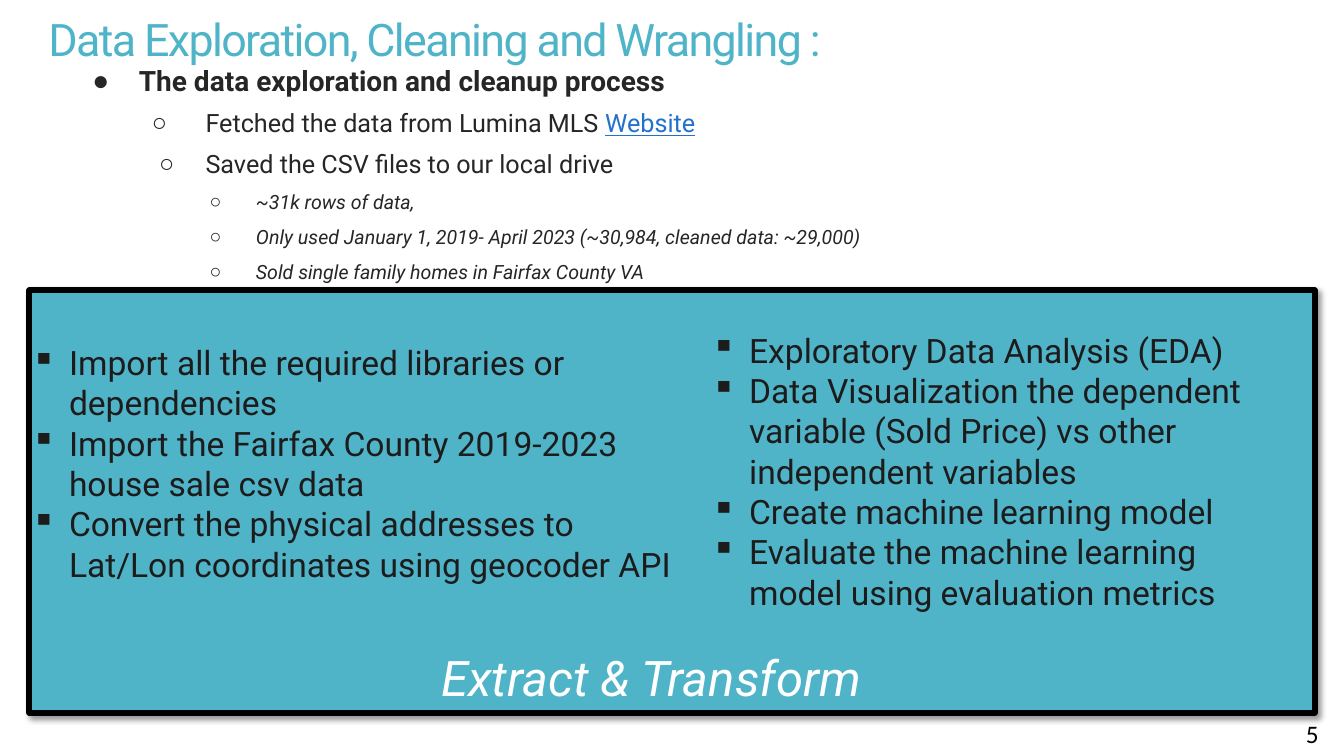
import lxml.etree
import pptx
import pptx.dml.color
import pptx.enum.shapes
import pptx.enum.text
import pptx.oxml
import pptx.oxml.ns
import pptx.util

Cm = pptx.util.Cm
Pt = pptx.util.Pt
RGBColor = pptx.dml.color.RGBColor
PP_ALIGN = pptx.enum.text.PP_ALIGN

TEAL = RGBColor(0x50, 0xB4, 0xC8)
CHARCOAL = RGBColor(0x26, 0x26, 0x26)
INK = RGBColor(0x1D, 0x1C, 0x1D)
LINK_BLUE = RGBColor(0x23, 0x70, 0xCD)
BLACK = RGBColor(0, 0, 0)
WHITE = RGBColor(0xFF, 0xFF, 0xFF)

PANEL_SHADOW = (
    '<a:effectLst xmlns:a="http://schemas.openxmlformats.org/drawingml/2006/main">'
    '<a:outerShdw blurRad="50800" dist="38100" dir="2700000" algn="tl" rotWithShape="0">'
    '<a:srgbClr val="000000"><a:alpha val="40000"/></a:srgbClr>'
    '</a:outerShdw></a:effectLst>'
)

CLEANUP_STEPS = [
    (0, 1.7, 1.17, 20, "The data exploration and cleanup process"),
    (1, 3.38, 1.35, 18, "Fetched the data from Lumina MLS "),
    (1, 3.38, 1.17, 18, "Saved the CSV files to our local drive"),
    (2, 4.65, 1.17, 14, "~31k rows of data,"),
    (2, 4.65, 1.17, 14, "Only used January 1, 2019- April 2023 (~30,984, cleaned data: ~29,000)"),
    (2, 4.65, 1.17, 14, "Sold single family homes in Fairfax County VA"),
]
EXTRACT_STEPS = [
    "Import all the required libraries or dependencies",
    "Import the Fairfax County 2019-2023 house sale csv data",
    "Convert the physical addresses to Lat/Lon coordinates using geocoder API",
]
TRANSFORM_STEPS = [
    "Exploratory Data Analysis (EDA)",
    "Data Visualization the dependent variable (Sold Price) vs other independent variables",
    "Create machine learning model",
    "Evaluate the machine learning model using evaluation metrics",
]


def place(shape, box):
    shape.left, shape.top, shape.width, shape.height = (Cm(length) for length in box)


def prepare_frame(frame, insets=(0.25, 0.13, 0.25, 0.13)):
    frame.auto_size = pptx.enum.text.MSO_AUTO_SIZE.NONE
    frame.word_wrap = True
    frame.vertical_anchor = pptx.enum.text.MSO_ANCHOR.TOP
    frame.margin_left, frame.margin_top, frame.margin_right, frame.margin_bottom = (
        Cm(inset) for inset in insets)


def style(span, size, color, name="Roboto", bold=False, italic=False):
    font = span.font
    font.name = name
    font.size = Pt(size)
    font.color.rgb = color
    font.bold = bold
    font.italic = italic


def add_bullet(para, symbol, color, margin, hanging):
    properties = para._p.get_or_add_pPr()
    properties.set("marL", str(Cm(margin)))
    properties.set("indent", str(-Cm(hanging)))
    bullet_color = lxml.etree.SubElement(properties, pptx.oxml.ns.qn("a:buClr"))
    lxml.etree.SubElement(bullet_color, pptx.oxml.ns.qn("a:srgbClr"), val=str(color))
    lxml.etree.SubElement(properties, pptx.oxml.ns.qn("a:buChar"), char=symbol)


def add_label(page, box, text, size, color, align, **options):
    label = page.shapes.add_textbox(*(Cm(length) for length in box))
    prepare_frame(label.text_frame)
    label.text_frame.text = text
    para = label.text_frame.paragraphs[0]
    para.alignment = align
    style(para.runs[0], size, color, **options)


def build_title(page, box):
    title = page.shapes.title
    place(title, box)
    prepare_frame(title.text_frame, (1.27, 0.51, 0.76, 0.25))
    title.text_frame.text = "Data Exploration, Cleaning and Wrangling :"
    para = title.text_frame.paragraphs[0]
    para.alignment = PP_ALIGN.LEFT
    para.line_spacing = 0.85
    span = para.runs[0]
    style(span, 32, TEAL)
    span.font._element.set("spc", "-120")


def build_cleanup_list(page, box):
    body = page.placeholders[1]
    place(body, box)
    body.line.color.rgb = WHITE
    body.line.width = Pt(0.75)
    frame = body.text_frame
    prepare_frame(frame, (1.27, 0, 1.27, 2.54))
    frame.text = "\n".join(step[-1] for step in CLEANUP_STEPS)
    for para, (level, margin, hanging, size, text) in zip(frame.paragraphs, CLEANUP_STEPS):
        para.level = level
        add_bullet(para, "○" if level else "●", CHARCOAL, margin, hanging)
        para.line_spacing = 0.85
        para.space_before = Pt(10.7 if level else 0)
        style(para.runs[0], size, CHARCOAL, bold=level == 0, italic=level == 2)
    website = frame.paragraphs[1].add_run()
    website.text = "Website"
    style(website, 18, LINK_BLUE)
    website.font.underline = True


def build_step_column(page, box, steps):
    column = page.shapes.add_textbox(*(Cm(length) for length in box))
    frame = column.text_frame
    prepare_frame(frame)
    frame.text = "\n".join(steps)
    for para in frame.paragraphs:
        add_bullet(para, "▪", INK, 0.95, 0.95)
        style(para.runs[0], 24, INK)


def build_process_panel(page, box):
    left, top, width, height = box
    panel = page.shapes.add_shape(
        pptx.enum.shapes.MSO_SHAPE.RECTANGLE, *(Cm(length) for length in box))
    panel.fill.solid()
    panel.fill.fore_color.rgb = TEAL
    panel.line.color.rgb = BLACK
    panel.line.width = Pt(4.25)
    panel._element.spPr.append(pptx.oxml.parse_xml(PANEL_SHADOW))
    add_label(page, (left + 5.69, top + 8.86, 20.27, 1.75), "Extract & Transform ",
              35, WHITE, PP_ALIGN.CENTER, italic=True)
    build_step_column(page, (left - 0.2, top + 1.17, 16.71, 7.19), EXTRACT_STEPS)
    build_step_column(page, (left + 16.94, top + 0.86, 15.09, 7.72), TRANSFORM_STEPS)


def main():
    deck = pptx.Presentation()
    deck.slide_width = Cm(33.87)
    deck.slide_height = Cm(19.05)
    page = deck.slides.add_slide(deck.slide_layouts[1])
    build_title(page, (-0.05, 0, 33.96, 1.5))
    build_cleanup_list(page, (0.53, 1.73, 32.23, 16.54))
    add_label(page, (29.59, 17.96, 3.89, 1.02), "5", 18, BLACK, PP_ALIGN.RIGHT, name="Calibri")
    build_process_panel(page, (0.74, 7.32, 32.39, 10.64))
    deck.save("out.pptx")


if __name__ == "__main__":
    main()
